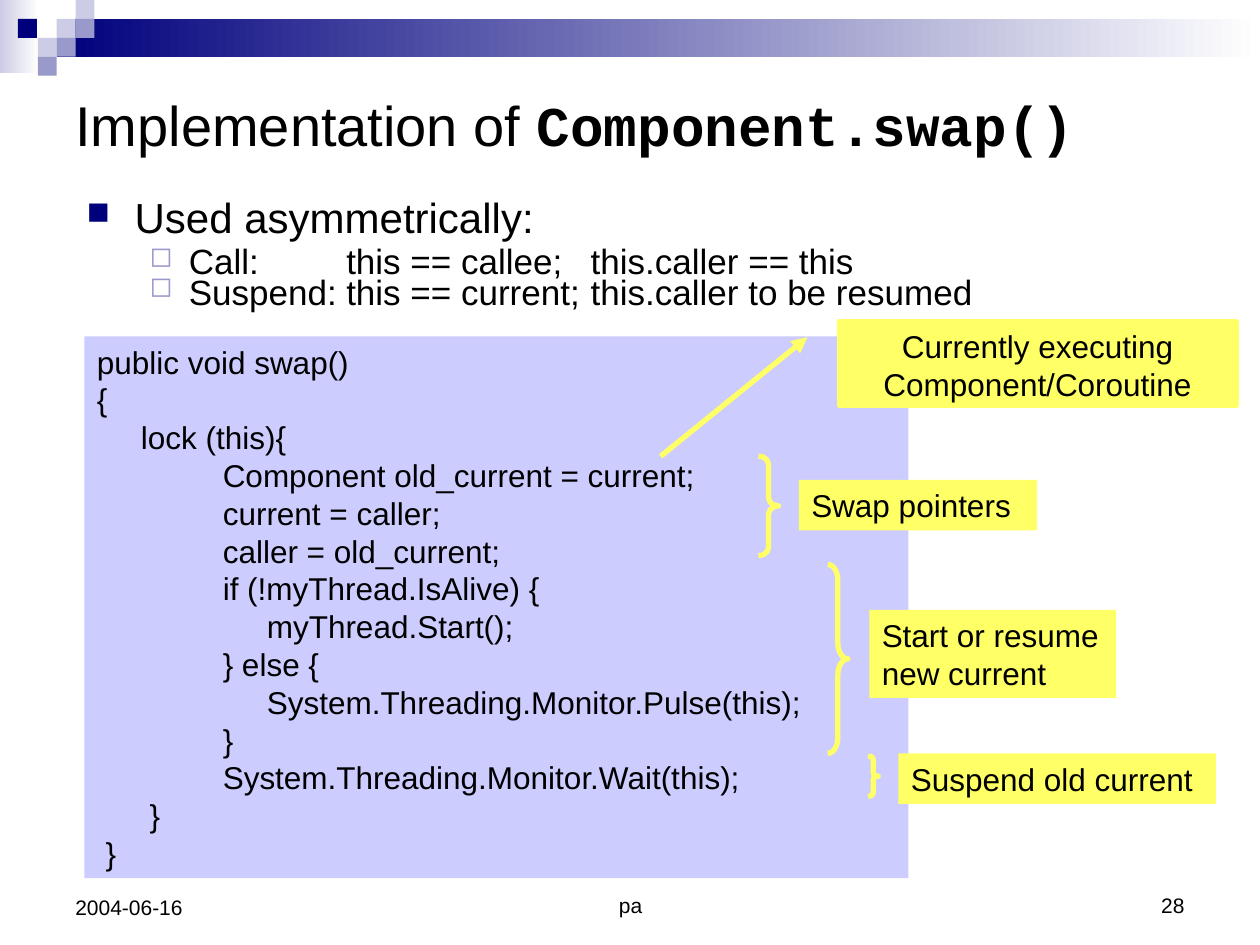
import dataclasses

import pptx
import pptx.dml.color
import pptx.enum.shapes
import pptx.enum.text
import pptx.oxml
import pptx.oxml.ns
import pptx.util

Inches = pptx.util.Inches
Pt = pptx.util.Pt
Shapes = pptx.enum.shapes.MSO_SHAPE
Align = pptx.enum.text.PP_ALIGN
Anchor = pptx.enum.text.MSO_ANCHOR


@dataclasses.dataclass(frozen=True)
class Theme:
    black: str = "000000"
    white: str = "FFFFFF"
    navy: str = "00007D"
    violet: str = "9999CC"
    pale: str = "CCCCE6"
    panel: str = "CCCCFF"
    note: str = "FFFF66"
    font: str = "Arial"
    mono: str = "Courier New"
    title: int = 32
    body: int = 24
    sub: int = 20
    code: int = 18
    footer: int = 12
    code_pitch: float = 21.6
    stroke: int = 3


THEME = Theme()


def color(value):
    return pptx.dml.color.RGBColor.from_string(value)


def add_xml(parent, tag, children="", **attributes):
    values = "".join(f' {key}="{value}"' for key, value in attributes.items())
    namespace = pptx.oxml.ns.nsdecls("a")
    parent.append(pptx.oxml.parse_xml(f"<a:{tag} {namespace}{values}>{children}</a:{tag}>"))


def add_text(para, text, size=THEME.code, font=THEME.font, bold=False, align=Align.LEFT,
             left=0, hanging=0, before=0, spacing=None, bullet=None, tabs=()):
    """Add a formatted span to a paragraph; bullet is (character, colour, percent)."""
    span = para.add_run()
    span.text = text
    span.font.size = Pt(size)
    span.font.name = font
    span.font.bold = bold
    span.font.color.rgb = color(THEME.black)
    para.alignment = align
    para.space_before = Pt(before)
    if spacing:
        para.line_spacing = spacing
    properties = para._p.get_or_add_pPr()
    properties.set("marL", str(Inches(left)))
    properties.set("indent", str(Inches(-hanging)))
    if bullet:
        character, tint, percent = bullet
        add_xml(properties, "buClr", f'<a:srgbClr val="{tint}"/>')
        add_xml(properties, "buSzPct", val=percent * 1000)
        add_xml(properties, "buChar", char=character)
    if tabs:
        stops = "".join(f'<a:tab pos="{Inches(stop)}" algn="l"/>' for stop in tabs)
        add_xml(properties, "tabLst", stops)


class SlideBuilder:
    def __init__(self, page, theme):
        self.page = page
        self.theme = theme

    def shape(self, kind, left, top, width, height, fill=None, line=None):
        box = self.page.shapes.add_shape(
            kind, Inches(left), Inches(top), Inches(width), Inches(height))
        box.shadow.inherit = False
        if fill:
            box.fill.solid()
            box.fill.fore_color.rgb = color(fill)
        else:
            box.fill.background()
        if line:
            box.line.color.rgb = color(line)
            box.line.width = Pt(self.theme.stroke)
        else:
            box.line.fill.background()
        return box

    def fade(self, left, top, width, height, tint):
        box = self.shape(Shapes.RECTANGLE, left, top, width, height)
        box.fill.gradient()
        box.fill.gradient_angle = 180
        for stop, value in zip(box.fill.gradient_stops, (self.theme.white, tint)):
            stop.color.rgb = color(value)

    def frame(self, box, anchor=Anchor.TOP):
        frame = box.text_frame
        frame.word_wrap = True
        frame.vertical_anchor = anchor
        return frame

    def text(self, left, top, width, height, anchor=Anchor.TOP):
        box = self.page.shapes.add_textbox(
            Inches(left), Inches(top), Inches(width), Inches(height))
        return self.frame(box, anchor)

    def label(self, text, left, top, width, height, kind=Shapes.RECTANGLE,
              line=None, align=Align.LEFT):
        box = self.shape(kind, left, top, width, height, self.theme.note, line)
        add_text(self.frame(box).paragraphs[0], text, align=align,
                 spacing=Pt(self.theme.code_pitch))
        return box

    def callout(self, text, left, top, width, height, adjustments):
        box = self.label(text, left, top, width, height, Shapes.LINE_CALLOUT_1,
                         self.theme.note, Align.CENTER)
        for index, value in enumerate(adjustments):
            box.adjustments[index] = value
        add_xml(box.line._get_or_add_ln(), "headEnd", type="triangle")

    def brace(self, left, top, width, height):
        box = self.shape(Shapes.RIGHT_BRACE, left, top, width, height, line=self.theme.note)
        # The curl is a twelfth of the height, stated relative to the width
        box.adjustments[0] = height / 12 / width
        box.adjustments[1] = 0.5


def main():
    deck = pptx.Presentation()
    deck.slide_width, deck.slide_height = Inches(10), Inches(7.5)
    page = deck.slides.add_slide(deck.slide_layouts[6])
    builder = SlideBuilder(page, THEME)

    # Header band and mosaic
    builder.fade(0, 0, 0.31, 0.58, THEME.pale)
    builder.fade(0.45, 0.15, 9.55, 0.3, THEME.navy)
    tile = 0.15
    for column, row, tint in (
            (3, 1, THEME.pale), (4, 0, THEME.pale), (4, 1, THEME.violet),
            (2, 2, THEME.pale), (0.95, 1, THEME.navy), (3, 2, THEME.violet),
            (2, 3, THEME.violet)):
        builder.shape(Shapes.RECTANGLE, column * tile, row * tile, tile, tile, tint)

    # Title
    para = builder.text(0.5, 0.66, 9, 0.65, Anchor.MIDDLE).paragraphs[0]
    add_text(para, "Implementation of ", THEME.title)
    add_text(para, "Component.swap()", THEME.title, THEME.mono, bold=True)

    # Code panel: left indent and text of each line
    code = (
        (0, "public void swap()"),
        (0, "{"),
        (0.35, "lock (this){"),
        (1, "Component old_current = current;"),
        (1, "current = caller;"),
        (1, "caller = old_current;"),
        (1, "if (!myThread.IsAlive) {"),
        (1.35, "myThread.Start();"),
        (1, "} else {"),
        (1.35, "System.Threading.Monitor.Pulse(this);"),
        (1, "}"),
        (1, "System.Threading.Monitor.Wait(this);"),
        (0.42, "}"),
        (0.07, "}"),
    )
    panel = builder.shape(Shapes.RECTANGLE, 0.67, 2.67, 6.54, 4.3, THEME.panel)
    frame = builder.frame(panel)
    for index, (left, line) in enumerate(code):
        para = frame.add_paragraph() if index else frame.paragraphs[0]
        add_text(para, line, left=left, spacing=Pt(THEME.code_pitch))

    # Notes beside the code
    builder.callout("Currently executing Component/Coroutine", 6.66, 2.55, 3.15, 0.67,
                    (0.19, -0.08, 1.6, -0.45))
    for brace, text, place in (
            ((6.02, 3.62, 0.16, 0.79), "Swap pointers", (6.34, 3.81, 1.89, 0.4)),
            ((6.57, 4.48, 0.16, 1.5), "Start or resume new current", (6.9, 4.84, 1.96, 0.7)),
            ((6.89, 6, 0.08, 0.32), "Suspend old current", (7.13, 5.98, 2.52, 0.4))):
        builder.brace(*brace)
        builder.label(text, *place)

    # Bullets
    frame = builder.text(0.59, 1.47, 9, 4.25)
    add_text(frame.paragraphs[0], "Used asymmetrically:", THEME.body, left=0.38,
             hanging=0.38, before=6, bullet=("■", THEME.navy, 75))
    for text, spacing in (("Call:\tthis == callee;\tthis.caller == this", 0.7),
                          ("Suspend:\tthis == current;\tthis.caller to be resumed", 0.5)):
        add_text(frame.add_paragraph(), text, THEME.sub, left=0.81, hanging=0.31,
                 before=5, spacing=spacing, bullet=("◻", THEME.violet, 80),
                 tabs=(2.06, 4))

    # Footer
    for text, left, width, height, align in (
            ("pa", 3.42, 3.17, 0.5, Align.CENTER),
            ("28", 7.17, 2.33, 0.5, Align.RIGHT),
            ("2004-06-16", 0.5, 2.33, 0.52, Align.LEFT)):
        frame = builder.text(left, 6.83, width, height, Anchor.BOTTOM)
        add_text(frame.paragraphs[0], text, THEME.footer, align=align)

    deck.save("out.pptx")


if __name__ == "__main__":
    main()
